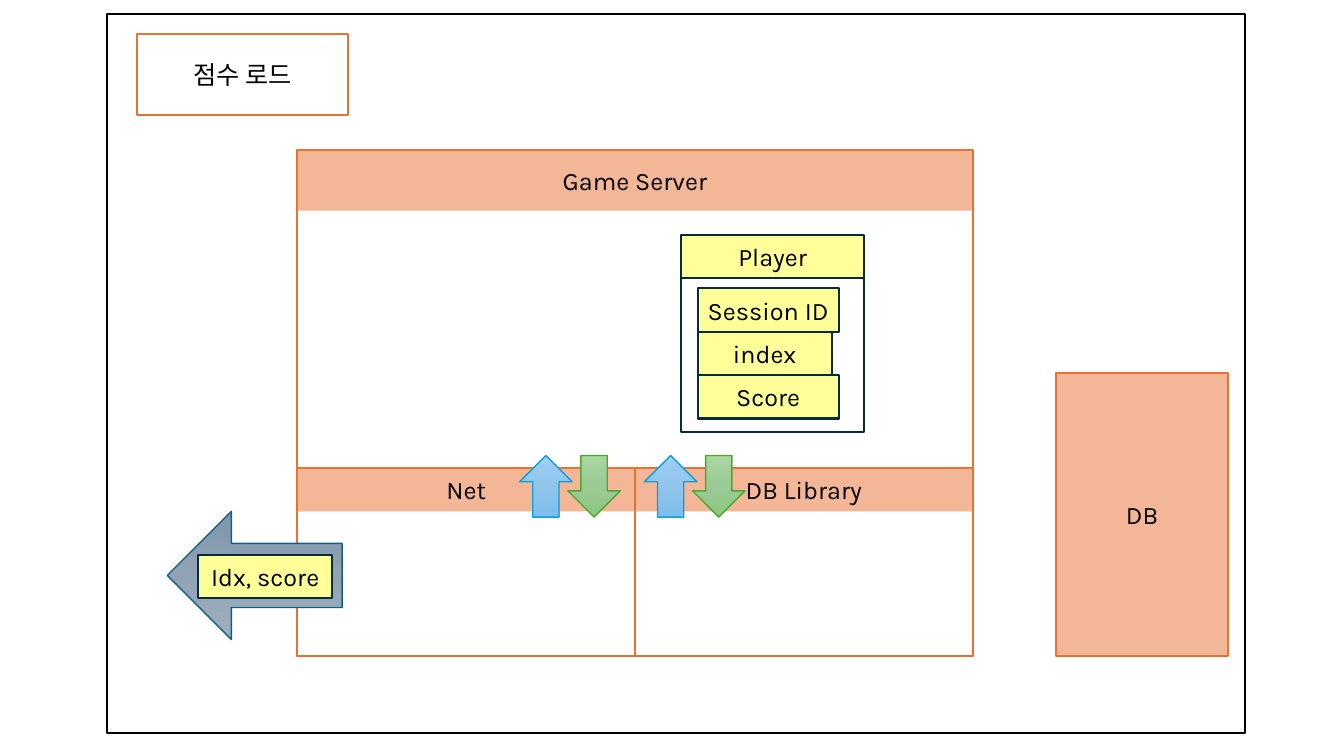
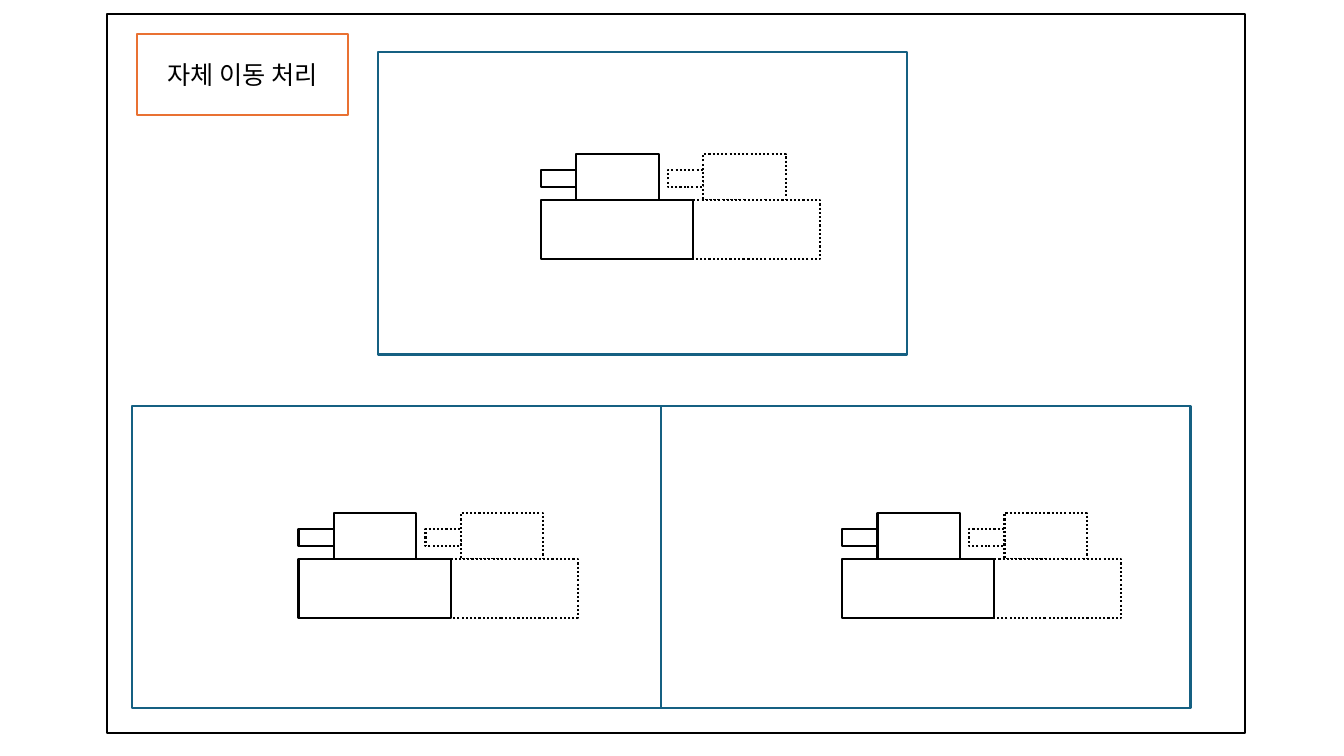
from copy import deepcopy

from lxml.etree import SubElement
from pptx import Presentation
from pptx.dml.color import RGBColor
from pptx.enum.dml import MSO_LINE
from pptx.enum.shapes import MSO_SHAPE
from pptx.enum.text import MSO_ANCHOR, MSO_AUTO_SIZE, PP_ALIGN
from pptx.oxml.ns import qn
from pptx.util import Pt

COLORS = {
    "black": "000000",
    "white": "FFFFFF",
    "orange": "E97132",
    "navy": "092A39",
    "teal": "156082",
    "yellow": "FFFF99",
    "blue": "0F9ED5",
    "green": "4EA72E",
}
GRADIENTS = {
    "blue": ("9ECFF5", "90C4EB", "7CBEED"),
    "green": ("A8D5A0", "9CCA94", "8AC680"),
    "teal": ("9EAFBF", "91A3B4", "7C95AB"),
}
FONT = {"name": "Karla", "size": Pt(18), "bold": False}
FRAME = {
    "auto_size": MSO_AUTO_SIZE.NONE,
    "word_wrap": False,
    "vertical_anchor": MSO_ANCHOR.MIDDLE,
    "margin_top": 0,
    "margin_bottom": 0,
}

TITLE_AREA = (97.9, 24.5, 150.5, 57.6)
BAR_HEIGHT = 31
ARROW_SIZE = (37.5, 44)
PANEL_SIZE = (378, 216)
GHOST_SHIFT = 90.7
# Turret, hull and barrel, measured from the top left of the tank
TANK_PARTS = [(25.2, 0, 59, 33), (0, 33, 108.7, 42), (0, 11.5, 25.2, 12.2)]


def color(name):
    return RGBColor.from_string(COLORS[name])


def apply(target, values):
    for attribute, value in values.items():
        setattr(target, attribute, value)


def write(shape, text):
    text_frame = shape.text_frame
    text_frame.text = text
    apply(text_frame, FRAME)
    paragraph = text_frame.paragraphs[0]
    paragraph.alignment = PP_ALIGN.CENTER
    apply(paragraph.font, FONT)
    paragraph.font.color.rgb = color("black")


def outline(shape, name, width=1.5, dash=None):
    shape.line.color.rgb = color(name)
    apply(shape.line, {"width": Pt(width), "dash_style": dash})


def add_preset(slide, preset, area):
    shape = slide.shapes.add_shape(preset, *map(Pt, area))
    shape.shadow.inherit = False
    return shape


def add_box(slide, area, line, fill="white", text=None, dash=None):
    """Add an outlined rectangle; fill None leaves it see-through."""
    box = add_preset(slide, MSO_SHAPE.RECTANGLE, area)
    if fill:
        box.fill.solid()
        box.fill.fore_color.rgb = color(fill)
    else:
        box.fill.background()
    outline(box, line, dash=dash)
    if text:
        write(box, text)
    return box


def add_band(slide, area, text):
    """Add a half-transparent orange label without an outline."""
    band = add_box(slide, area, "orange", "orange", text)
    band.line.fill.background()
    tint = band.element.spPr.find(qn("a:solidFill")).find(qn("a:srgbClr"))
    SubElement(tint, qn("a:alpha")).set("val", "50000")


def add_arrow(slide, preset, area, tone, rotation=0):
    """Add a block arrow with a three-stop gradient from top to bottom."""
    arrow = add_preset(slide, preset, area)
    arrow.rotation = rotation
    arrow.fill.gradient()
    arrow.fill.gradient_angle = 270
    stop_list = arrow.element.spPr.find(qn("a:gradFill")).find(qn("a:gsLst"))
    stop_list.insert(1, deepcopy(stop_list[0]))
    for index, stop in enumerate(arrow.fill.gradient_stops):
        stop.position = index / 2
        stop.color.rgb = RGBColor.from_string(GRADIENTS[tone][index])
    outline(arrow, tone, 1)


def add_framed_slide(presentation, title):
    slide = presentation.slides.add_slide(presentation.slide_layouts[5])
    heading = slide.shapes.title
    apply(heading, dict(zip(("left", "top", "width", "height"),
                            map(Pt, TITLE_AREA))))
    outline(heading, "orange")
    write(heading, title)
    add_box(slide, (76.3, 10.1, 813, 513.4), "black", fill=None)
    return slide


def add_server(slide):
    left, top, width, height = 212.4, 107.3, 482.4, 361.3
    half = width / 2
    module_top, module_height = 334.3, 134.3
    modules = [("Net", left), ("DB Library", left + half)]
    add_box(slide, (left, top, width, height), "orange")
    for _, x in modules:
        add_box(slide, (x, module_top, half, module_height), "orange")
    add_band(slide, (left, top, width, 43.2), "Game Server")
    for name, x in modules:
        add_band(slide, (x, module_top, half, BAR_HEIGHT), name)


def add_exchange(slide, left):
    """Add an up and a down arrow side by side."""
    top = 325.4
    add_arrow(slide, MSO_SHAPE.UP_ARROW, (left, top, *ARROW_SIZE), "blue")
    add_arrow(slide, MSO_SHAPE.DOWN_ARROW,
              (left + 34.4, top, *ARROW_SIZE), "green")


def add_player(slide):
    left, top, width = 486.7, 167.8, 130.4
    add_box(slide, (left, top + BAR_HEIGHT, width, 109.6), "navy")
    add_box(slide, (left, top, width, BAR_HEIGHT), "navy", "yellow", "Player")
    fields = [("index", 1, 95.8), ("Session ID", 0, 100.8), ("Score", 2, 100.8)]
    for name, row, field_width in fields:
        area = (498.3, 206 + row * BAR_HEIGHT, field_width, BAR_HEIGHT)
        add_box(slide, area, "navy", "yellow", name)


def add_tank(slide, left, top):
    """Add a tank in front of the dotted outline of its earlier place."""
    for shift, dash in ((GHOST_SHIFT, MSO_LINE.ROUND_DOT), (0, None)):
        for x, y, width, height in TANK_PARTS:
            area = (left + shift + x, top + y, width, height)
            add_box(slide, area, "black", dash=dash)


def build_score_load(presentation):
    slide = add_framed_slide(presentation, "점수 로드")
    add_server(slide)
    database = (754.6, 266.4, 122.4, 202.2)
    add_box(slide, database, "orange")
    add_band(slide, database, "DB")
    for left in (371.2, 460.3):
        add_exchange(slide, left)
    add_player(slide)
    add_arrow(slide, MSO_SHAPE.RIGHT_ARROW, (119.5, 365.2, 124.9, 91.6),
              "teal", rotation=180)
    add_box(slide, (141.6, 396.3, 95.8, BAR_HEIGHT), "navy", "yellow",
            "Idx, score")


def build_self_movement(presentation):
    slide = add_framed_slide(presentation, "자체 이동 처리")
    scenes = [
        ((94.4, 290), (213.2, 366.5)),
        ((269.8, 37.3), (386.5, 110)),
        ((472.4, 290), (601.6, 366.5)),
    ]
    for panel, _ in scenes:
        add_box(slide, (*panel, *PANEL_SIZE), "teal")
    for _, tank in scenes:
        add_tank(slide, *tank)


def main():
    presentation = Presentation()
    presentation.slide_width = Pt(960)
    presentation.slide_height = Pt(540)
    build_score_load(presentation)
    build_self_movement(presentation)
    presentation.save("out.pptx")


if __name__ == "__main__":
    main()
